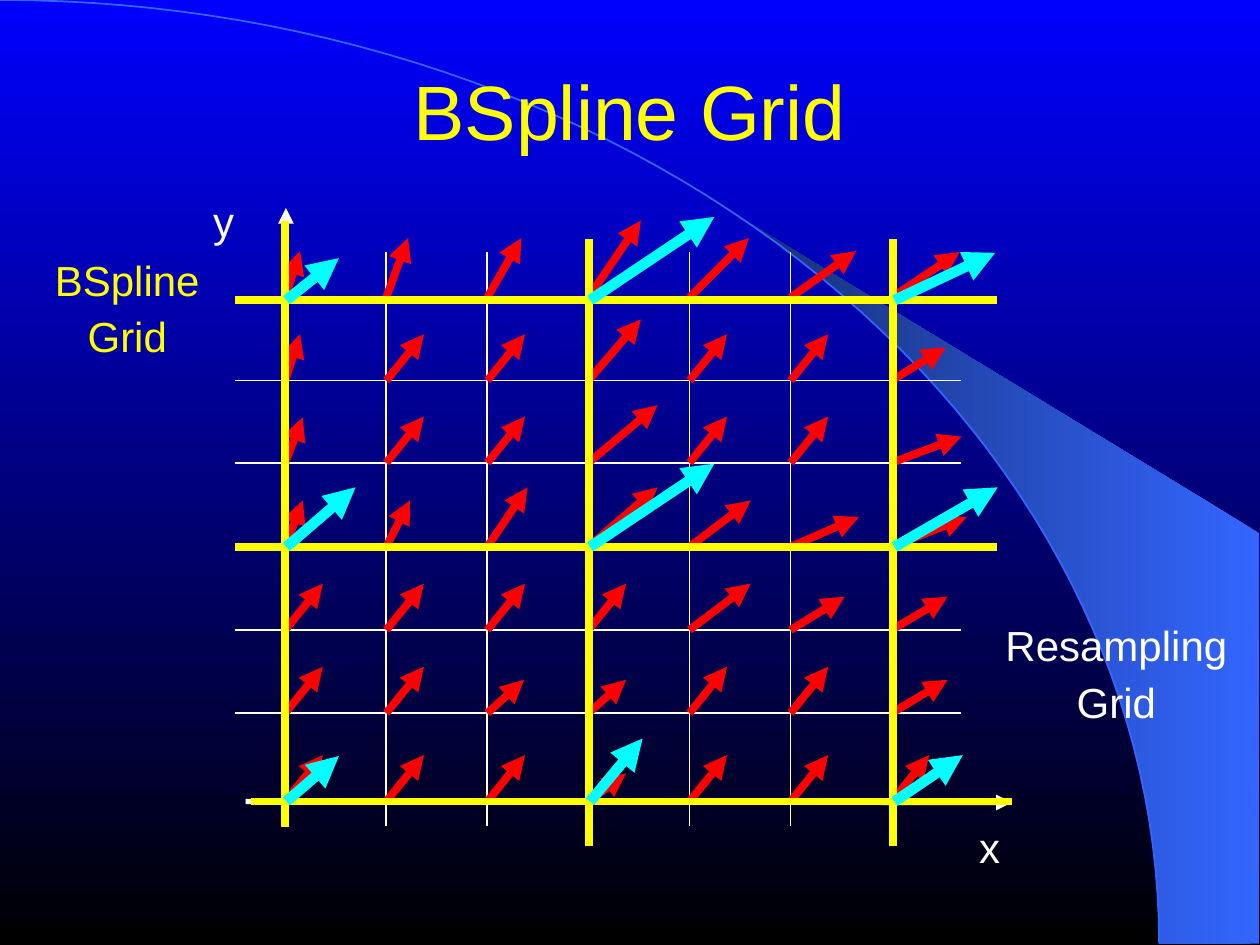
from dataclasses import dataclass
from math import cos, radians, sin

from lxml import etree
from pptx import Presentation
from pptx import util as u
from pptx.dml.color import RGBColor
from pptx.enum import shapes, text
from pptx.oxml.ns import qn


@dataclass(frozen=True)
class Theme:
    font: str = "Arial"
    title_size: float = 44
    label_size: float = 24
    white: str = "FFFFFF"
    yellow: str = "FFFF00"
    red: str = "FF0000"
    cyan: str = "00FFFF"
    blue: str = "0000FF"
    black: str = "000000"
    arc: str = "3366FF"
    arc_dark: str = "172F75"


WIDTH, HEIGHT = 720, 540

# Resampling grid nodes, left to right and top to bottom
COLUMNS = [163 + 57.75 * i for i in range(7)]
ROWS = [170, 217.5, 264.5, 312.5, 360, 407.5, 458]
CONTROL = (0, 3, 6)  # every third node belongs to the BSpline grid
CONTROL_COLUMNS = (163, 336.5, 510.5)
CONTROL_ROWS = (171.5, 312.5, 458)

# Displacement (right, up) at each node
USUAL = (21.5, 26.5)
FIELD = [
    [(8.5, 26.5), (12.5, 34), (19.5, 34), (30, 44), (34, 34), (37.5, 26.5), (39, 26)],
    [(8.5, 26.5), USUAL, USUAL, (30, 35), USUAL, USUAL, (31, 19)],
    [(10, 26), USUAL, USUAL, (39.5, 33), USUAL, USUAL, (40, 15)],
    [(10, 26.5), (13.5, 26.5), (23, 34), (39.5, 34), (35, 26.5), (39, 17), (43, 17)],
    [USUAL, USUAL, USUAL, USUAL, (35, 26.5), (31, 19), (32, 19)],
    [USUAL, USUAL, (21, 19), (21.5, 19), USUAL, USUAL, (32, 19)],
    [USUAL, USUAL, USUAL, (21.5, 16), USUAL, USUAL, USUAL],
]
CONTROL_FIELD = [
    [(30, 24), (71, 47.5), (57.5, 27)],
    [(39.5, 34), (71, 47.5), (59, 34)],
    [(30, 26), (30, 36), (39, 26.5)],
]


class Painter:
    def __init__(self, slide, theme):
        self.slide = slide
        self.theme = theme

    def gradient(self, fill, first, last, angle):
        fill.gradient()
        fill.gradient_angle = angle
        for stop, color in zip(fill.gradient_stops, (first, last)):
            stop.color.rgb = RGBColor.from_string(color)

    def outline(self, points, closed):
        points = [(u.Pt(x), u.Pt(y)) for x, y in points]
        builder = self.slide.shapes.build_freeform(*points[0])
        builder.add_line_segments(points[1:], close=closed)
        shape = builder.convert_to_shape()
        shape.shadow.inherit = False
        return shape

    def line(self, start, end, color, width, arrow=False):
        connector = self.slide.shapes.add_connector(
            shapes.MSO_CONNECTOR.STRAIGHT, *(u.Pt(v) for v in (*start, *end)))
        connector.line.color.rgb = RGBColor.from_string(color)
        connector.line.width = u.Pt(width)
        properties = connector._element.spPr
        if arrow:
            etree.SubElement(properties.find(qn("a:ln")), qn("a:tailEnd"), type="triangle")
        etree.SubElement(properties, qn("a:effectLst"))

    def vectors(self, columns, rows, field, color, width):
        for y, row in zip(rows, field):
            for x, (right, up) in zip(columns, row):
                self.line((x, y), (x + right, y - up), color, width, arrow=True)

    def label(self, words, box, size, color, spacing=1.0, before=0, inset=(7.2, 3.6),
              anchor=text.MSO_ANCHOR.TOP):
        shape = self.slide.shapes.add_textbox(*(u.Pt(v) for v in box))
        frame = shape.text_frame
        frame.word_wrap = True
        frame.vertical_anchor = anchor
        frame.margin_left = frame.margin_right = u.Pt(inset[0])
        frame.margin_top = frame.margin_bottom = u.Pt(inset[1])
        frame.text = words
        for index, paragraph in enumerate(frame.paragraphs):
            paragraph.alignment = text.PP_ALIGN.CENTER
            paragraph.line_spacing = spacing
            if index:
                paragraph.space_before = u.Pt(before)
            for run in paragraph.runs:
                run.font.name = self.theme.font
                run.font.size = u.Pt(size)
                run.font.color.rgb = RGBColor.from_string(color)


def arc(last_angle, steps, center_y=539.2, radius_x=662.4):
    """Points of an ellipse around the lower left corner, from its right end."""
    angles = [radians(last_angle * i / steps) for i in range(steps + 1)]
    return [(radius_x * cos(a), center_y * (1 - sin(a))) for a in angles]


def main():
    theme = Theme()
    presentation = Presentation()
    presentation.slide_width, presentation.slide_height = u.Pt(WIDTH), u.Pt(HEIGHT)
    slide = presentation.slides.add_slide(presentation.slide_layouts[6])
    painter = Painter(slide, theme)

    # Background with the sweeping band and arc
    painter.gradient(slide.background.fill, theme.blue, theme.black, 270)
    band = painter.outline([(719.3, 304.5), (719.3, 539.2), *arc(50.2, 34)], closed=True)
    painter.gradient(band.fill, theme.arc, theme.arc_dark, 180)
    band.line.fill.background()
    curve = painter.outline(arc(90, 60), closed=False)
    curve.fill.background()
    curve.line.color.rgb = RGBColor.from_string(theme.arc)
    curve.line.width = u.Pt(1)

    # Title
    painter.label("BSpline Grid", (54, 8.6, 612, 108.7), theme.title_size, theme.yellow,
                  inset=(0, 0), anchor=text.MSO_ANCHOR.MIDDLE)

    # Axes
    painter.line((163, 471.6), (163.4, 118.8), theme.white, 3, arrow=True)
    painter.line((140.4, 458), (578.2, 458.6), theme.white, 3, arrow=True)
    for name, left, top in (("y", 114.5, 113.8), ("x", 552.2, 471.6)):
        painter.label(name, (left, top, 26.6, 30.2), theme.label_size, theme.white, 0.8)

    # Resampling grid
    for y in ROWS[:-1]:
        painter.line((134.3, y), (549.4, y), theme.white, 1)
    for x in COLUMNS[1:]:
        painter.line((x, 144), (x, 472.3), theme.white, 1)
    painter.vectors(COLUMNS, ROWS, FIELD, theme.red, 4.5)

    # BSpline grid
    for x, top in zip(CONTROL_COLUMNS, (126, 136.8, 136.8)):
        painter.line((x, top), (x, top + 346.4), theme.yellow, 4.5)
    for y, left in zip(CONTROL_ROWS, (134.3, 134.3, 143.3)):
        painter.line((left, y), (left + 435.2, y), theme.yellow, 4.5)
    painter.vectors([x + 0.7 for x in CONTROL_COLUMNS], CONTROL_ROWS, CONTROL_FIELD,
                    theme.cyan, 6)

    # Grid names
    painter.label("BSpline\nGrid", (17.3, 151.9, 110.9, 56.9), theme.label_size,
                  theme.yellow, 0.6, 15)
    painter.label("Resampling\nGrid", (566.6, 360.7, 142.6, 56.9), theme.label_size,
                  theme.white, 0.6, 15)

    presentation.save("out.pptx")


if __name__ == "__main__":
    main()
